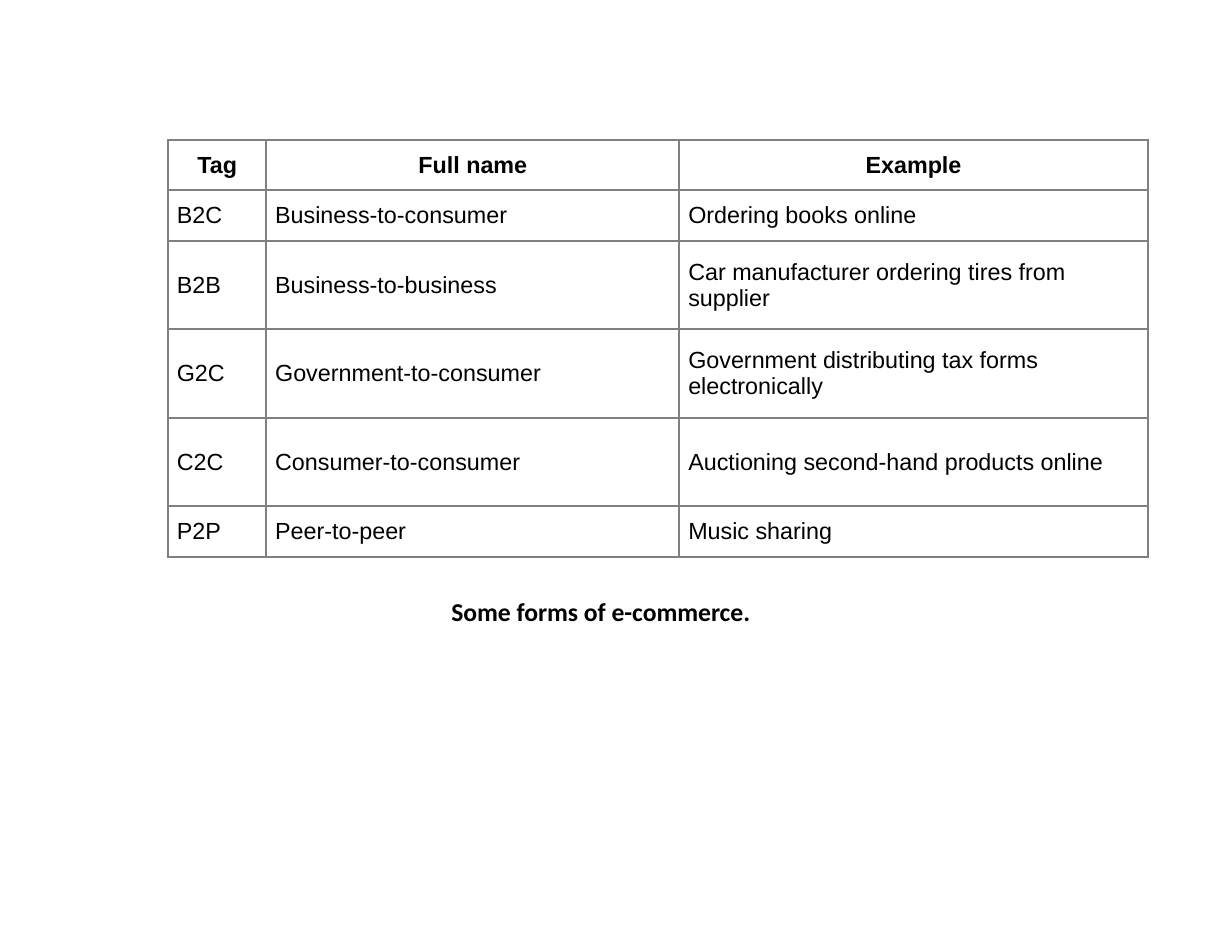
from dataclasses import dataclass

import lxml.etree
import pptx
import pptx.dml.color
import pptx.enum.text
import pptx.oxml.ns
import pptx.util

Cm = pptx.util.Cm
Pt = pptx.util.Pt
ALIGN = pptx.enum.text.PP_ALIGN
ANCHOR = pptx.enum.text.MSO_ANCHOR

COLORS = {"text": "000000", "border": "808080"}
COLUMN_WIDTHS = (2.23, 9.37, 10.62)
SHORT_ROW, TALL_ROW = 1.14, 2.01


@dataclass
class Form:
    tag: str
    full_name: str
    example: str
    height: float = SHORT_ROW


HEADER = Form("Tag", "Full name", "Example")
FORMS = [
    Form("B2C", "Business-to-consumer", "Ordering books online"),
    Form("B2B", "Business-to-business",
         "Car manufacturer ordering tires from supplier", TALL_ROW),
    Form("G2C", "Government-to-consumer",
         "Government distributing tax forms electronically", TALL_ROW),
    Form("C2C", "Consumer-to-consumer",
         "Auctioning second-hand products online", TALL_ROW),
    Form("P2P", "Peer-to-peer", "Music sharing"),
]


def write(tf, text: str, *, size: float = 15, font: str = "Arial",
          bold: bool = False, align=ALIGN.LEFT) -> None:
    p = tf.paragraphs[0]
    p.alignment = align
    r = p.add_run()
    r.text = text
    r.font.size = Pt(size)
    r.font.name = font
    r.font.bold = bold
    r.font.color.rgb = pptx.dml.color.RGBColor.from_string(COLORS["text"])


def add_borders(cell, color: str, width: float) -> None:
    qn = pptx.oxml.ns.qn
    props = cell._tc.get_or_add_tcPr()
    for i, side in enumerate(("a:lnL", "a:lnR", "a:lnT", "a:lnB")):
        ln = lxml.etree.Element(qn(side), w=str(Pt(width)))
        fill = lxml.etree.SubElement(ln, qn("a:solidFill"))
        lxml.etree.SubElement(fill, qn("a:srgbClr"), val=color)
        props.insert(i, ln)


def fill_row(table, index: int, form: Form, **text_format) -> None:
    table.rows[index].height = Cm(form.height)
    texts = (form.tag, form.full_name, form.example)
    for cell, text in zip(table.rows[index].cells, texts):
        cell.margin_left = cell.margin_right = Cm(0.2)
        cell.margin_top = cell.margin_bottom = Cm(0.1)
        cell.vertical_anchor = ANCHOR.MIDDLE
        cell.fill.background()
        add_borders(cell, COLORS["border"], 1.5)
        write(cell.text_frame, text, **text_format)


def add_forms_table(s) -> None:
    height = sum(form.height for form in [HEADER, *FORMS])
    table = s.shapes.add_table(
        len(FORMS) + 1, len(COLUMN_WIDTHS), Cm(3.81), Cm(3.18),
        Cm(sum(COLUMN_WIDTHS)), Cm(height)).table
    table.first_row = table.horz_banding = False
    for column, width in zip(table.columns, COLUMN_WIDTHS):
        column.width = Cm(width)
    fill_row(table, 0, HEADER, bold=True, align=ALIGN.CENTER)
    for index, form in enumerate(FORMS, 1):
        fill_row(table, index, form)


def add_caption(s, text: str) -> None:
    sp = s.shapes.add_textbox(Cm(6.68), Cm(13.39), Cm(13.89), Cm(0.97))
    tf = sp.text_frame
    tf.word_wrap = True
    tf.auto_size = pptx.enum.text.MSO_AUTO_SIZE.SHAPE_TO_FIT_TEXT
    write(tf, text, size=16.5, font="Calibri", bold=True, align=ALIGN.CENTER)


def main() -> None:
    prs = pptx.Presentation()
    prs.slide_width, prs.slide_height = Cm(27.94), Cm(21.59)
    s = prs.slides.add_slide(prs.slide_layouts[6])
    add_caption(s, "Some forms of e-commerce.")
    add_forms_table(s)
    prs.save("out.pptx")


if __name__ == "__main__":
    main()
